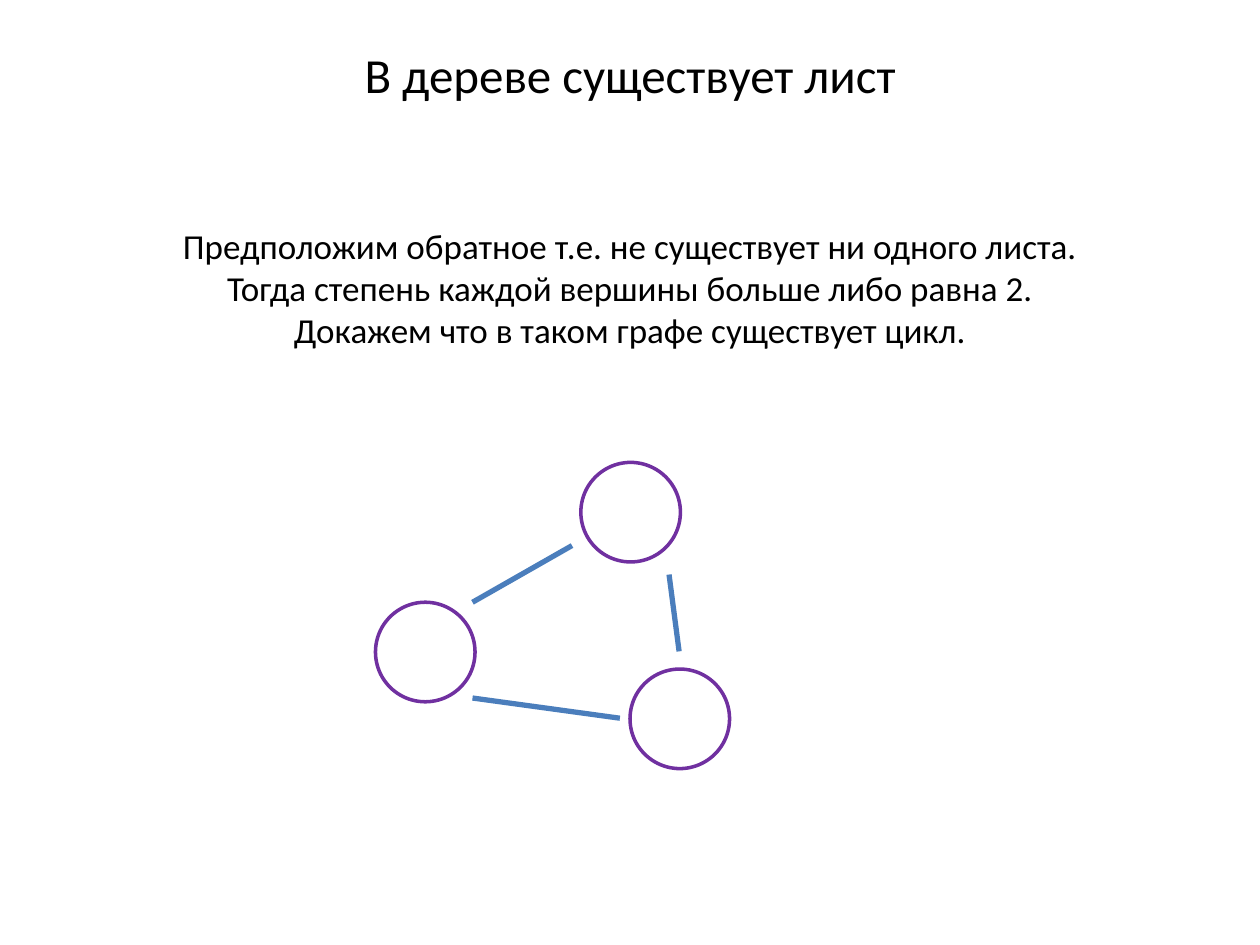
"""Build a slide on why every tree has a leaf."""
from lxml.etree import SubElement
from pptx import Presentation
from pptx.dml.color import RGBColor
from pptx.enum.shapes import MSO_CONNECTOR, MSO_SHAPE
from pptx.enum.text import MSO_ANCHOR, MSO_AUTO_SIZE, PP_ALIGN
from pptx.oxml.ns import qn
from pptx.util import Inches, Pt

COLORS = {"text": "000000", "node": "7030A0", "edge": "4B7EBC", "fill": "FFFFFF"}
RGB = {name: RGBColor.from_string(code) for name, code in COLORS.items()}

deck = Presentation()
deck.slide_width, deck.slide_height = Inches(10), Inches(7.5)
slide = deck.slides.add_slide(deck.slide_layouts[1])
title, body = slide.placeholders

claim = ["В дереве существует лист"]
proof = [
    "Предположим обратное т.е. не существует ни одного листа.",
    "Тогда степень каждой вершины больше либо равна 2.",
    "Докажем что в таком графе существует цикл.",
]
blocks = [
    (title, 0, 1.18, MSO_ANCHOR.MIDDLE, 28, claim),
    (body, 1.73, 1.2, MSO_ANCHOR.TOP, 20, proof),
]
for box, top, height, anchor, size, lines in blocks:
    box.left, box.top = Inches(0), Inches(top)
    box.width, box.height = Inches(10), Inches(height)
    frame = box.text_frame
    frame.text = "\n".join(lines)
    frame.word_wrap = True
    frame.auto_size = MSO_AUTO_SIZE.NONE
    frame.vertical_anchor = anchor
    for para in frame.paragraphs:
        props = para._p.get_or_add_pPr()
        props.set("marL", "0")
        props.set("indent", "0")
        SubElement(props, qn("a:buNone"))
        para.alignment = PP_ALIGN.CENTER
        para.space_before = Pt(0)
        para.font.name = "Calibri"
        para.font.size = Pt(size)
        para.font.color.rgb = RGB["text"]

side = Inches(0.79)
for left, top in [(2.98, 4.78), (4.61, 3.67), (5, 5.31)]:
    node = slide.shapes.add_shape(
        MSO_SHAPE.OVAL, Inches(left), Inches(top), side, side)
    node.shadow.inherit = False
    node.fill.solid()
    node.fill.fore_color.rgb = RGB["fill"]
    node.line.color.rgb = RGB["node"]
    node.line.width = Pt(2)

edges = [
    (4.54, 4.33, 3.75, 4.78),
    (5.31, 4.56, 5.39, 5.17),
    (3.75, 5.54, 4.92, 5.7),
]
for ends in edges:
    edge = slide.shapes.add_connector(MSO_CONNECTOR.STRAIGHT, *map(Inches, ends))
    edge.line.color.rgb = RGB["edge"]
    edge.line.width = Pt(3)
    SubElement(edge._element.spPr, qn("a:effectLst"))

deck.save("out.pptx")
